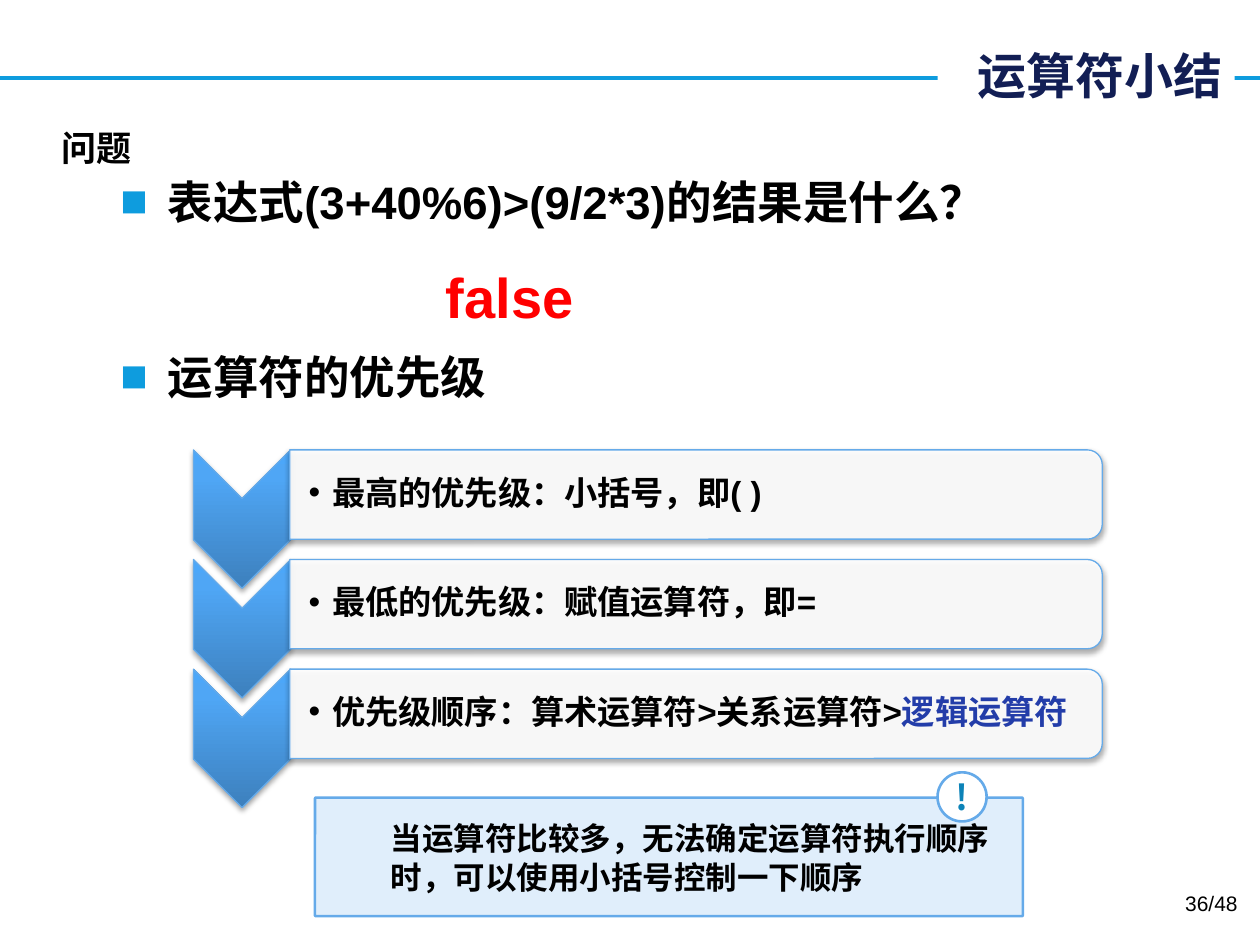
from lxml.etree import SubElement
from pptx import Presentation
from pptx.dml.color import RGBColor
from pptx.enum.shapes import MSO_CONNECTOR, MSO_SHAPE
from pptx.enum.text import MSO_ANCHOR, PP_ALIGN
from pptx.oxml import parse_xml
from pptx.oxml.ns import nsdecls, qn
from pptx.util import Cm, Pt

BLACK = RGBColor(0x00, 0x00, 0x00)
WHITE = RGBColor(0xFF, 0xFF, 0xFF)
NAVY = RGBColor(0x12, 0x1E, 0x54)
RULE_BLUE = RGBColor(0x0E, 0x9C, 0xDE)
EDGE_BLUE = RGBColor(0x65, 0xAA, 0xE9)
NOTE_BLUE = RGBColor(0xE0, 0xEE, 0xFB)
BADGE_BLUE = RGBColor(0x0C, 0x83, 0xB8)
LINK_BLUE = RGBColor(0x23, 0x3D, 0xA9)
RED = RGBColor(0xFF, 0x00, 0x00)
LATIN, CHINESE = "Arial", "Noto Sans CJK SC"

TITLE = "运算符小结"
TOPIC = "问题"
# text, top in cm
HEADINGS = [
    ("表达式(3+40%6)>(9/2*3)的结果是什么？", 3.38),
    ("运算符的优先级", 6.91),
]
ANSWER = "false"
# runs of each rule: text, colour
PRIORITIES = [
    [("最高的优先级：小括号，即( )", BLACK)],
    [("最低的优先级：赋值运算符，即=", BLACK)],
    [("优先级顺序：算术运算符>关系运算符>", BLACK), ("逻辑运算符", LINK_BLUE)],
]
NOTE = "当运算符比较多，无法确定运算符执行顺序时，可以使用小括号控制一下顺序"
PAGE = "36/48"
FIRST_ROW, ROW_STEP = 9.07, 2.21


def box(left, top, width, height):
    return Cm(left), Cm(top), Cm(width), Cm(height)


def shadow_effect():
    return parse_xml(
        f'<a:effectLst {nsdecls("a")}><a:outerShdw blurRad="40000" dist="23000" '
        'dir="5400000" rotWithShape="0"><a:srgbClr val="000000">'
        '<a:alpha val="35000"/></a:srgbClr></a:outerShdw></a:effectLst>')


def add_run(paragraph, text, size, color=BLACK, font=LATIN, bold=True):
    run = paragraph.add_run()
    run.text = text
    run.font.size, run.font.bold, run.font.name = Pt(size), bold, font
    run.font.color.rgb = color
    SubElement(run._r.get_or_add_rPr(), qn("a:ea")).set("typeface", font)
    return run


def add_text(slide, place, anchor=MSO_ANCHOR.TOP, wrap=True):
    """Add a text box and return its first paragraph."""
    frame = slide.shapes.add_textbox(*box(*place)).text_frame
    frame.word_wrap, frame.vertical_anchor = wrap, anchor
    return frame.paragraphs[0]


def set_bullet(paragraph, character, indent, color):
    properties = paragraph._p.get_or_add_pPr()
    properties.set("marL", str(Cm(indent)))
    properties.set("indent", str(-Cm(indent)))
    bullet_color = SubElement(properties, qn("a:buClr"))
    SubElement(bullet_color, qn("a:srgbClr")).set("val", str(color))
    SubElement(properties, qn("a:buFont")).set("typeface", LATIN)
    SubElement(properties, qn("a:buChar")).set("char", character)


def add_shape(slide, kind, place, fill, line_width):
    shape = slide.shapes.add_shape(kind, *box(*place))
    shape.shadow.inherit = False
    shape.fill.solid()
    shape.fill.fore_color.rgb = fill
    shape.line.color.rgb = EDGE_BLUE
    shape.line.width = Pt(line_width)
    return shape


def add_turned(slide, kind, left, top, width, height):
    """Add a shadowed shape turned by 90 degrees that covers the given area."""
    shift = (width - height) / 2
    shape = add_shape(slide, kind, (left + shift, top - shift, height, width), WHITE, 0.75)
    shape.rotation = 90
    properties = shape._element.spPr
    properties.replace(properties.find(qn("a:effectLst")), shadow_effect())
    return shape


def add_priority(slide, runs, top):
    chevron = add_turned(slide, MSO_SHAPE.CHEVRON, 3.9, top, 1.96, 2.79)
    stops = "".join(
        f'<a:gs pos="{position}000"><a:srgbClr val="{color}"/></a:gs>'
        for position, color in [(0, "3D80BD"), (80, "4FA6F5"), (100, "4CA7F9")])
    properties = chevron._element.spPr
    properties.replace(properties.find(qn("a:solidFill")), parse_xml(
        f'<a:gradFill {nsdecls("a")} rotWithShape="0"><a:gsLst>{stops}</a:gsLst>'
        '<a:lin ang="16200000" scaled="0"/></a:gradFill>'))

    panel = add_turned(slide, MSO_SHAPE.ROUND_2_SAME_RECTANGLE, 5.84, top, 16.38, 1.8)
    fill_color = panel._element.spPr.find(qn("a:solidFill"))[0]
    SubElement(fill_color, qn("a:alpha")).set("val", "90000")

    paragraph = add_text(slide, (5.84, top + 0.08, 16.28, 1.63), MSO_ANCHOR.MIDDLE)
    frame = paragraph._parent
    frame.margin_left = Cm(0.38)
    frame.margin_right = frame.margin_top = frame.margin_bottom = Cm(0.03)
    set_bullet(paragraph, "•", 0.48, BLACK)
    paragraph.line_spacing = 0.9
    for text, color in runs:
        add_run(paragraph, text, 19, color)


def add_title(slide):
    title = slide.shapes.title
    title.left, title.top, title.width, title.height = box(18.9, 0.79, 5.99, 1.45)
    title.fill.solid()
    title.fill.fore_color.rgb = WHITE
    title.text_frame.vertical_anchor = MSO_ANCHOR.MIDDLE
    paragraph = title.text_frame.paragraphs[0]
    paragraph.alignment = PP_ALIGN.RIGHT
    add_run(paragraph, TITLE, 28, NAVY, CHINESE)

    rule = slide.shapes.add_connector(
        MSO_CONNECTOR.STRAIGHT, Cm(0), Cm(1.57), Cm(25.4), Cm(1.57))
    rule.line.color.rgb = RULE_BLUE
    rule.line.width = Pt(2.25)
    SubElement(rule._element.spPr, qn("a:effectLst"))
    title._element.addprevious(rule._element)


def add_note(slide):
    note = add_shape(slide, MSO_SHAPE.ROUNDED_RECTANGLE, (6.35, 16.08, 14.27, 2.39), NOTE_BLUE, 1.5)
    note.adjustments[0] = 0.01
    note.text_frame.word_wrap = True
    note.text_frame.vertical_anchor = MSO_ANCHOR.MIDDLE
    paragraph = note.text_frame.paragraphs[0]
    paragraph.alignment = PP_ALIGN.LEFT
    paragraph.line_spacing = Pt(22)
    paragraph._p.get_or_add_pPr().set("marL", str(Cm(1.27)))
    add_run(paragraph, NOTE, 18, BLACK, CHINESE)

    badge = add_shape(slide, MSO_SHAPE.OVAL, (18.9, 15.57, 0.99, 0.99), WHITE, 1.5)
    frame = badge.text_frame
    frame.word_wrap, frame.vertical_anchor = False, MSO_ANCHOR.MIDDLE
    frame.margin_left = frame.margin_right = frame.margin_top = frame.margin_bottom = 0
    frame.paragraphs[0].alignment = PP_ALIGN.CENTER
    add_run(frame.paragraphs[0], "!", 20, BADGE_BLUE, CHINESE)


def main():
    presentation = Presentation()
    presentation.slide_width, presentation.slide_height = Cm(25.4), Cm(19.05)
    slide = presentation.slides.add_slide(presentation.slide_layouts[5])
    add_title(slide)

    topic = add_text(slide, (0.99, 2.41, 1.96, 1.12), MSO_ANCHOR.MIDDLE, wrap=False)
    topic_run = add_run(topic, TOPIC, 20, BLACK, CHINESE)
    topic_run._r.rPr.find(qn("a:solidFill")).addnext(shadow_effect())

    for text, top in HEADINGS:
        heading = add_text(slide, (2.18, top, 21.23, 1.4))
        set_bullet(heading, "■", 0.95, RULE_BLUE)
        add_run(heading, text, 26)
    add_run(add_text(slide, (8.74, 5.16, 3.18, 1.63)), ANSWER, 32, RED)

    for row, runs in enumerate(PRIORITIES):
        add_priority(slide, runs, FIRST_ROW + row * ROW_STEP)
    add_note(slide)

    page = add_text(slide, (19.28, 17.83, 5.92, 1.02))
    page.alignment = PP_ALIGN.RIGHT
    add_run(page, PAGE, 12, bold=False)
    presentation.save("out.pptx")


if __name__ == "__main__":
    main()
